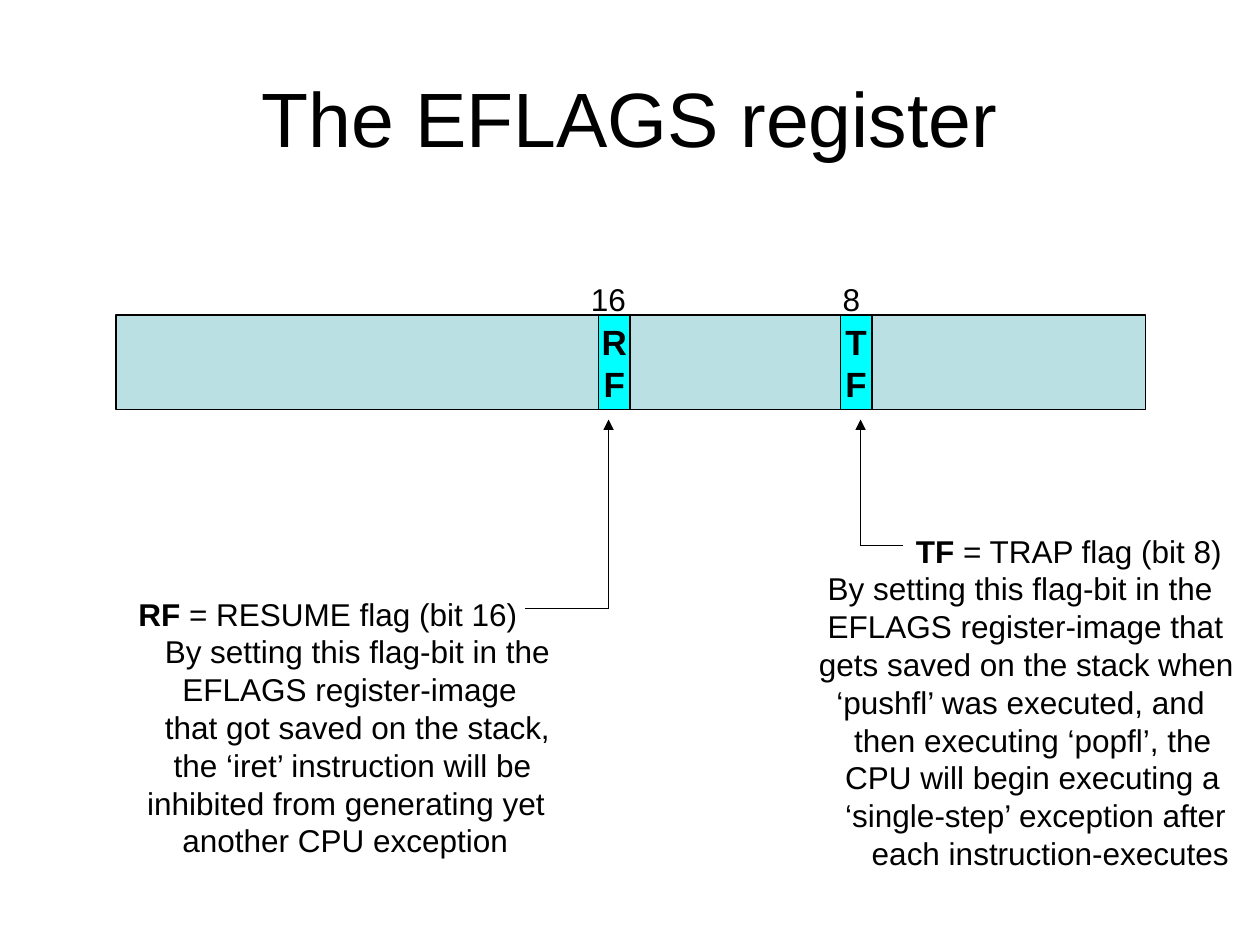
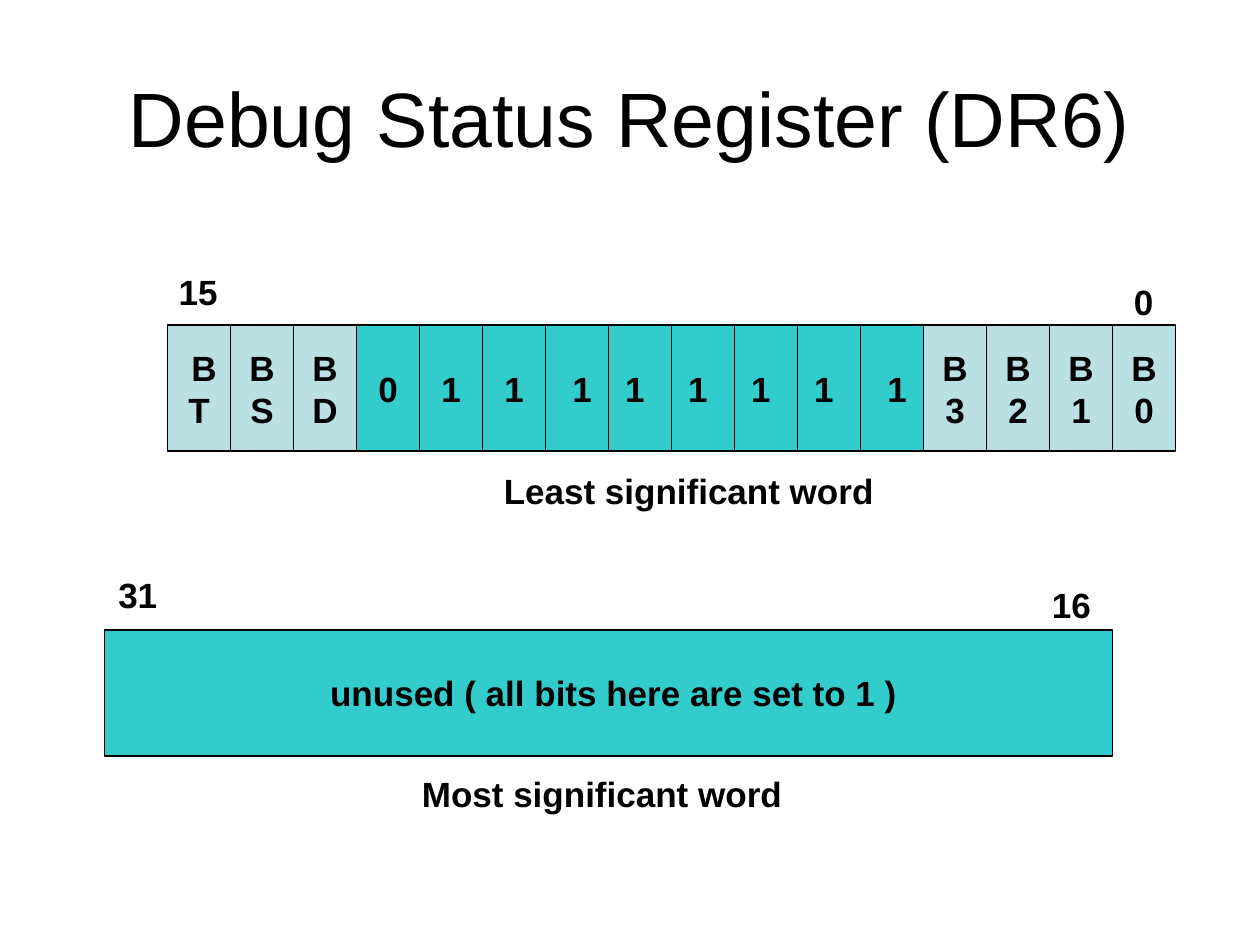
from lxml import etree
from pptx import Presentation
from pptx.dml.color import RGBColor
from pptx.enum.shapes import MSO_CONNECTOR, MSO_SHAPE
from pptx.enum.text import MSO_ANCHOR, MSO_AUTO_SIZE, PP_ALIGN
from pptx.oxml.ns import qn
from pptx.util import Inches, Pt

RECTANGLE = MSO_SHAPE.RECTANGLE
STRAIGHT = MSO_CONNECTOR.STRAIGHT
MIDDLE, TOP = MSO_ANCHOR.MIDDLE, MSO_ANCHOR.TOP
CENTER, LEFT = PP_ALIGN.CENTER, PP_ALIGN.LEFT
FIT_SHAPE = MSO_AUTO_SIZE.SHAPE_TO_FIT_TEXT

BLACK = RGBColor(0x00, 0x00, 0x00)
PALE = RGBColor(0xBB, 0xE0, 0xE3)
CYAN = RGBColor(0x00, 0xFF, 0xFF)
TEAL = RGBColor(0x33, 0xCC, 0xCC)

TITLE = {"size": Pt(44), "bold": False}
BODY = {"size": Pt(18), "bold": False}
STRONG = {"size": Pt(20), "bold": True}
LINE_WIDTH = Pt(0.75)
INDENT_STEP = 0.07
CELL_SHIFT = 0.08
CELL_MARGIN = 0.1


class Deck:
    """Holds the shared style and the slide being drawn."""

    def __init__(self):
        self.presentation = Presentation()
        self.presentation.slide_width = Inches(10)
        self.presentation.slide_height = Inches(7.5)
        self.slide = None

    def new_slide(self, title):
        self.slide = self.presentation.slides.add_slide(self.presentation.slide_layouts[6])
        heading = self.slide.shapes.add_textbox(Inches(0.5), Inches(0.3), Inches(9), Inches(1.25))
        self.fill_text(heading.text_frame, [(0, "", title)], TITLE, CENTER, MIDDLE, wrap=True)

    def fill_text(self, frame, lines, style, align=LEFT, anchor=TOP, wrap=False):
        """Fill a frame with lines of (indent in inches, bold lead, text)."""
        frame.word_wrap = wrap
        frame.vertical_anchor = anchor
        for number, (indent, lead, text) in enumerate(lines):
            paragraph = frame.add_paragraph() if number else frame.paragraphs[0]
            paragraph.alignment = align
            if indent:
                properties = paragraph._p.get_or_add_pPr()
                properties.set("marL", str(Inches(indent)))
                properties.set("indent", "0")
            for words, changes in ((lead, {"bold": True}), (text, {})):
                if words:
                    run = paragraph.add_run()
                    run.text = words
                    run.font.color.rgb = BLACK
                    for key, value in {"name": "Arial", **style, **changes}.items():
                        setattr(run.font, key, value)

    def label(self, left, top, width, height, lines, style):
        box = self.slide.shapes.add_textbox(Inches(left), Inches(top), Inches(width), Inches(height))
        self.fill_text(box.text_frame, lines, style)
        box.text_frame.auto_size = FIT_SHAPE

    def field(self, left, top, width, height, fill, lines=(), shift=0):
        """Draw a register field; a shift above zero moves its text right, below zero left."""
        box = self.slide.shapes.add_shape(
            RECTANGLE, Inches(left), Inches(top), Inches(width), Inches(height))
        box.shadow.inherit = False
        box.fill.solid()
        box.fill.fore_color.rgb = fill
        box.line.color.rgb = BLACK
        box.line.width = LINE_WIDTH
        box.text_frame.margin_left = Inches(CELL_MARGIN + max(shift, 0))
        box.text_frame.margin_right = Inches(CELL_MARGIN + max(-shift, 0))
        self.fill_text(box.text_frame, lines, STRONG, CENTER, MIDDLE)

    def line(self, start, end, arrow=False):
        connector = self.slide.shapes.add_connector(
            STRAIGHT, *(Inches(value) for value in (*start, *end)))
        connector.line.color.rgb = BLACK
        connector.line.width = LINE_WIDTH
        if arrow:
            etree.SubElement(connector.line._get_or_add_ln(), qn("a:tailEnd"), type="triangle")
        etree.SubElement(connector._element.spPr, qn("a:effectLst"))


def letters(text):
    return [(0, "", letter) for letter in text]


def indented(lines):
    return [(steps * INDENT_STEP, lead, text) for steps, lead, text in lines]


RESUME_NOTE = [
    (0, "RF", " = RESUME flag (bit 16)"),
    (3, "", "By setting this flag-bit in the"),
    (5, "", "EFLAGS register-image"),
    (3, "", "that got saved on the stack,"),
    (4, "", "the ‘iret’ instruction will be"),
    (1, "", "inhibited from generating yet"),
    (5, "", "another CPU exception"),
]
TRAP_NOTE = [
    (12, "TF", " = TRAP flag (bit 8)"),
    (2, "", "By setting this flag-bit in the"),
    (2, "", "EFLAGS register-image that"),
    (1, "", "gets saved on the stack when"),
    (3, "", "‘pushfl’ was executed, and"),
    (5, "", "then executing ‘popfl’, the"),
    (4, "", "CPU will begin executing a"),
    (4, "", "‘single-step’ exception after"),
    (7, "", "each instruction-executes"),
]
STATUS_BITS = ["BT", "BS", "BD", "0", *["1"] * 8, "B3", "B2", "B1", "B0"]
DIGIT_SHIFTS = {6: 1, 7: -1, 8: -1, 9: -1, 10: -1, 11: 1}


def eflags_slide(deck):
    deck.new_slide("The EFLAGS register")
    deck.field(0.92, 2.5, 8.17, 0.75, PALE)
    for flag, left in (("RF", 4.75), ("TF", 6.67)):
        deck.field(left, 2.5, 0.25, 0.75, CYAN, letters(flag))
    for bit, left, width in (("8", 6.59, 0.34), ("16", 4.59, 0.48)):
        deck.label(left, 2.17, width, 0.4, [(0, "", bit)], BODY)
    deck.label(1, 4.67, 3.53, 2.2, indented(RESUME_NOTE), BODY)
    deck.label(6.33, 4.17, 3.59, 2.8, indented(TRAP_NOTE), BODY)
    for note_x, flag_x, corner_y in ((4.17, 4.83, 4.83), (7.17, 6.83, 4.33)):
        deck.line((note_x, corner_y), (flag_x, corner_y))
        deck.line((flag_x, corner_y), (flag_x, 3.33), arrow=True)


def debug_status_slide(deck):
    deck.new_slide("Debug Status Register (DR6)")
    for position, bit in enumerate(STATUS_BITS):
        lines = letters(bit)
        if bit == "BT":
            lines[0] = (CELL_SHIFT, "", "B")
        fill = PALE if bit.startswith("B") else TEAL
        shift = CELL_SHIFT * DIGIT_SHIFTS.get(position, 0)
        deck.field(1.33 + 0.5 * position, 2.58, 0.5, 1, fill, lines, shift)
    deck.field(0.83, 5, 8, 1, TEAL,
               [(0, "", "unused ( all bits here are set to 1 )")], CELL_SHIFT)
    for text, left, top, width in (
        ("15", 1.32, 2.1, 0.51),
        ("0", 8.9, 2.18, 0.35),
        ("31", 0.84, 4.5, 0.51),
        ("16", 8.25, 4.58, 0.51),
        ("Least significant word", 3.9, 3.68, 3.14),
        ("Most significant word", 3.25, 6.08, 3.06),
    ):
        deck.label(left, top, width, 0.44, [(0, "", text)], STRONG)


def main():
    deck = Deck()
    eflags_slide(deck)
    debug_status_slide(deck)
    deck.presentation.save("out.pptx")


if __name__ == "__main__":
    main()
